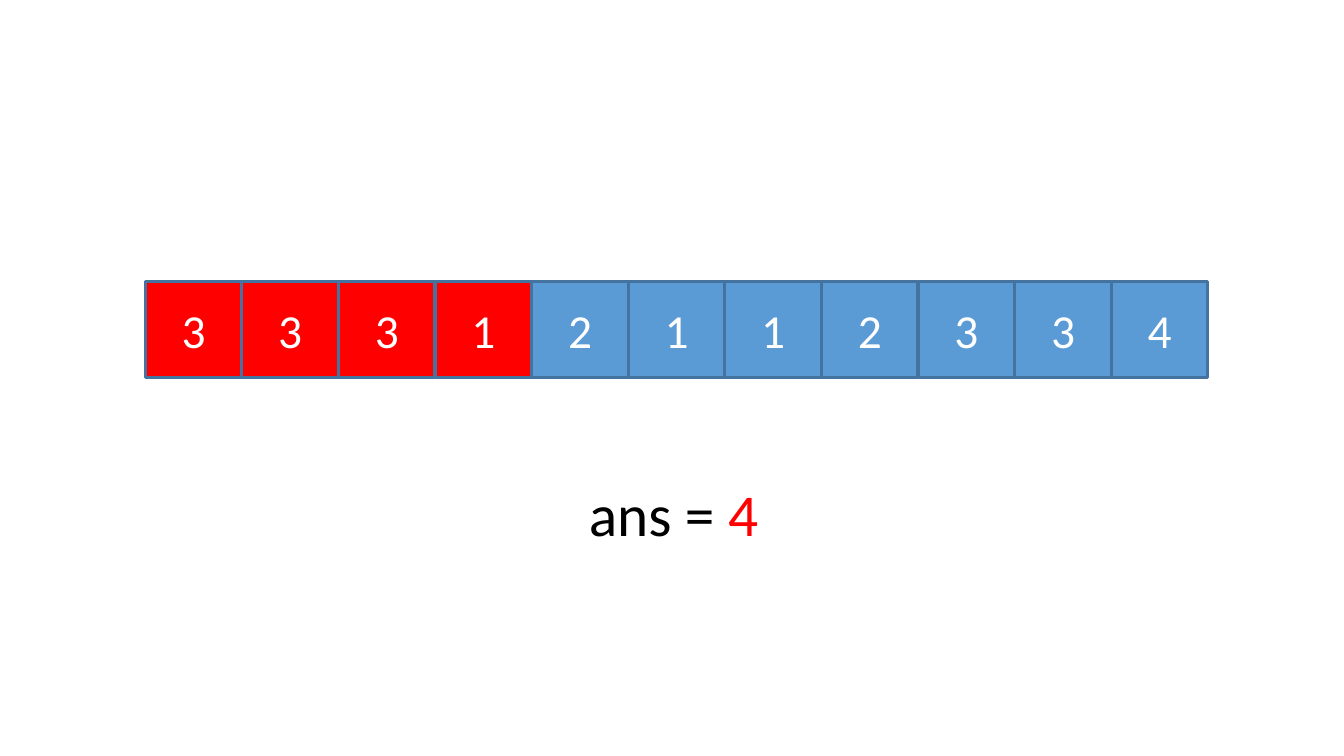
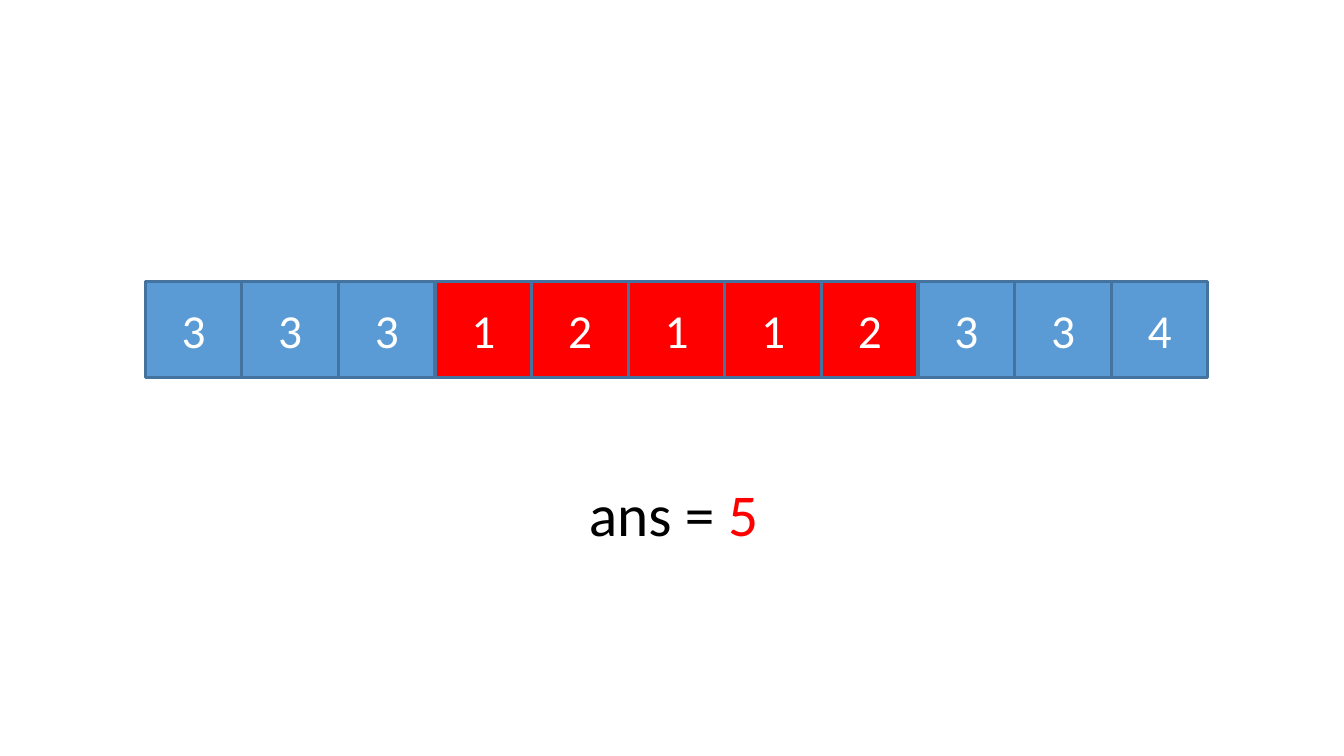
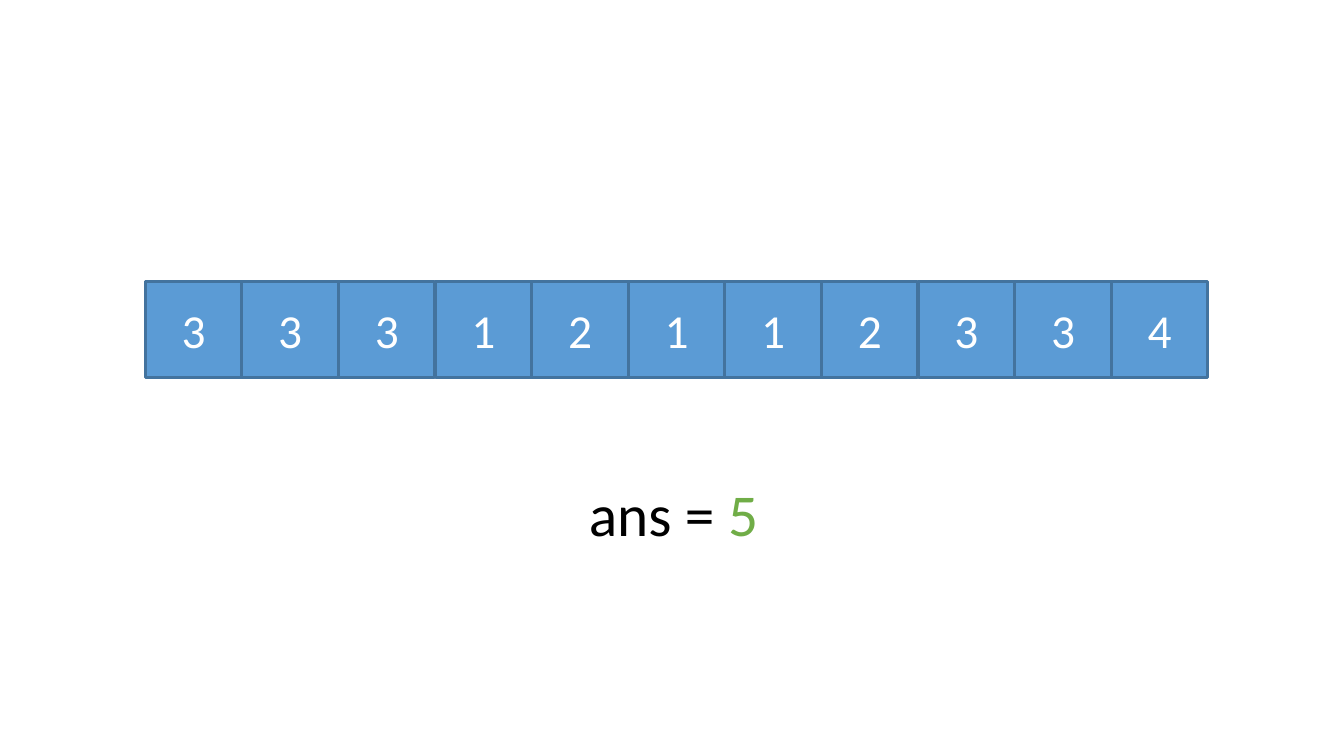
from dataclasses import dataclass

from pptx import Presentation
from pptx.dml.color import RGBColor
from pptx.enum.shapes import MSO_SHAPE
from pptx.enum.text import MSO_ANCHOR, MSO_AUTO_SIZE, PP_ALIGN
from pptx.slide import Slide
from pptx.text.text import _Paragraph
from pptx.util import Cm, Pt

# Shared style
FONT = "Calibri"
BLACK = RGBColor(0x00, 0x00, 0x00)
WHITE = RGBColor(0xFF, 0xFF, 0xFF)
RED = RGBColor(0xFF, 0x00, 0x00)
GREEN = RGBColor(0x70, 0xAD, 0x47)
BLUE = RGBColor(0x5B, 0x9B, 0xD5)
EDGE = RGBColor(0x43, 0x73, 0x9E)

# Array row, in centimetres
VALUES = (3, 3, 3, 1, 2, 1, 1, 2, 3, 3, 4)
LEFT, TOP, SIDE = 1.73, 3.35, 1.15


@dataclass(frozen=True)
class Step:
    """One state of the search: the marked cells and the answer so far."""
    marked: range
    answer: int
    color: RGBColor


STEPS = (
    Step(range(0, 4), 4, RED),
    Step(range(3, 8), 5, RED),
    Step(range(0), 5, GREEN),
)


def add_run(para: _Paragraph, text: str, size: int, color: RGBColor) -> None:
    run = para.add_run()
    run.text = text
    run.font.name = FONT
    run.font.size = Pt(size)
    run.font.color.rgb = color


def add_cell(slide: Slide, index: int, value: int, fill: RGBColor) -> None:
    cell = slide.shapes.add_shape(
        MSO_SHAPE.RECTANGLE,
        Cm(LEFT + index * SIDE), Cm(TOP), Cm(SIDE), Cm(SIDE),
    )
    cell.shadow.inherit = False
    cell.fill.solid()
    cell.fill.fore_color.rgb = fill
    cell.line.color.rgb = EDGE
    cell.line.width = Pt(1)
    frame = cell.text_frame
    frame.vertical_anchor = MSO_ANCHOR.MIDDLE
    para = frame.paragraphs[0]
    para.alignment = PP_ALIGN.CENTER
    add_run(para, str(value), 16, WHITE)


def add_answer(slide: Slide, step: Step) -> None:
    box = slide.shapes.add_textbox(Cm(6.76), Cm(5.56), Cm(4.27), Cm(1.12))
    frame = box.text_frame
    frame.word_wrap = True
    frame.auto_size = MSO_AUTO_SIZE.SHAPE_TO_FIT_TEXT
    para = frame.paragraphs[0]
    add_run(para, "ans = ", 20, BLACK)
    add_run(para, str(step.answer), 20, step.color)


def main() -> None:
    deck = Presentation()
    deck.slide_width, deck.slide_height = Cm(16), Cm(9)
    blank = deck.slide_layouts[6]

    # One slide per step
    for step in STEPS:
        slide = deck.slides.add_slide(blank)
        for index, value in enumerate(VALUES):
            add_cell(slide, index, value, RED if index in step.marked else BLUE)
        add_answer(slide, step)

    deck.save("out.pptx")


if __name__ == "__main__":
    main()
